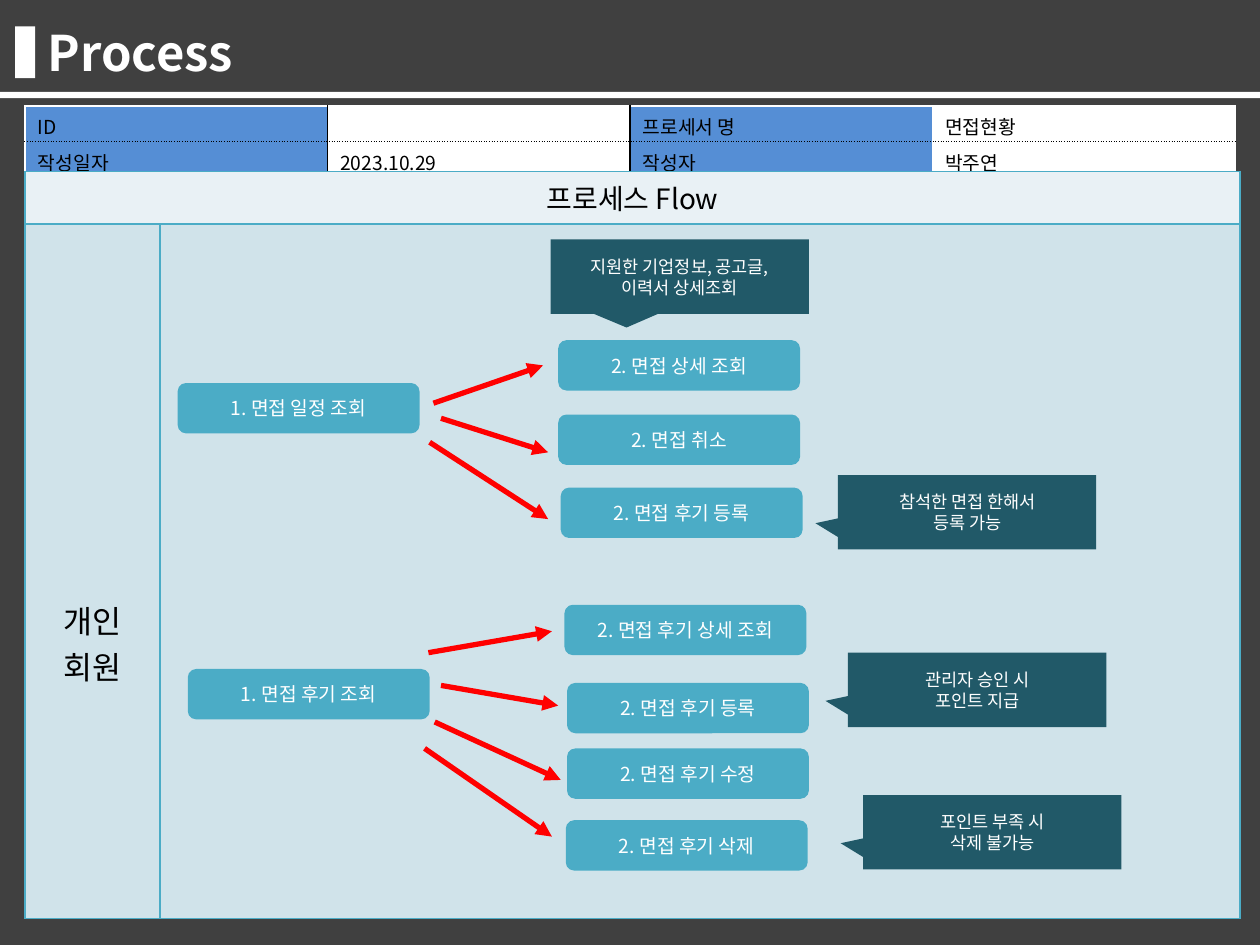
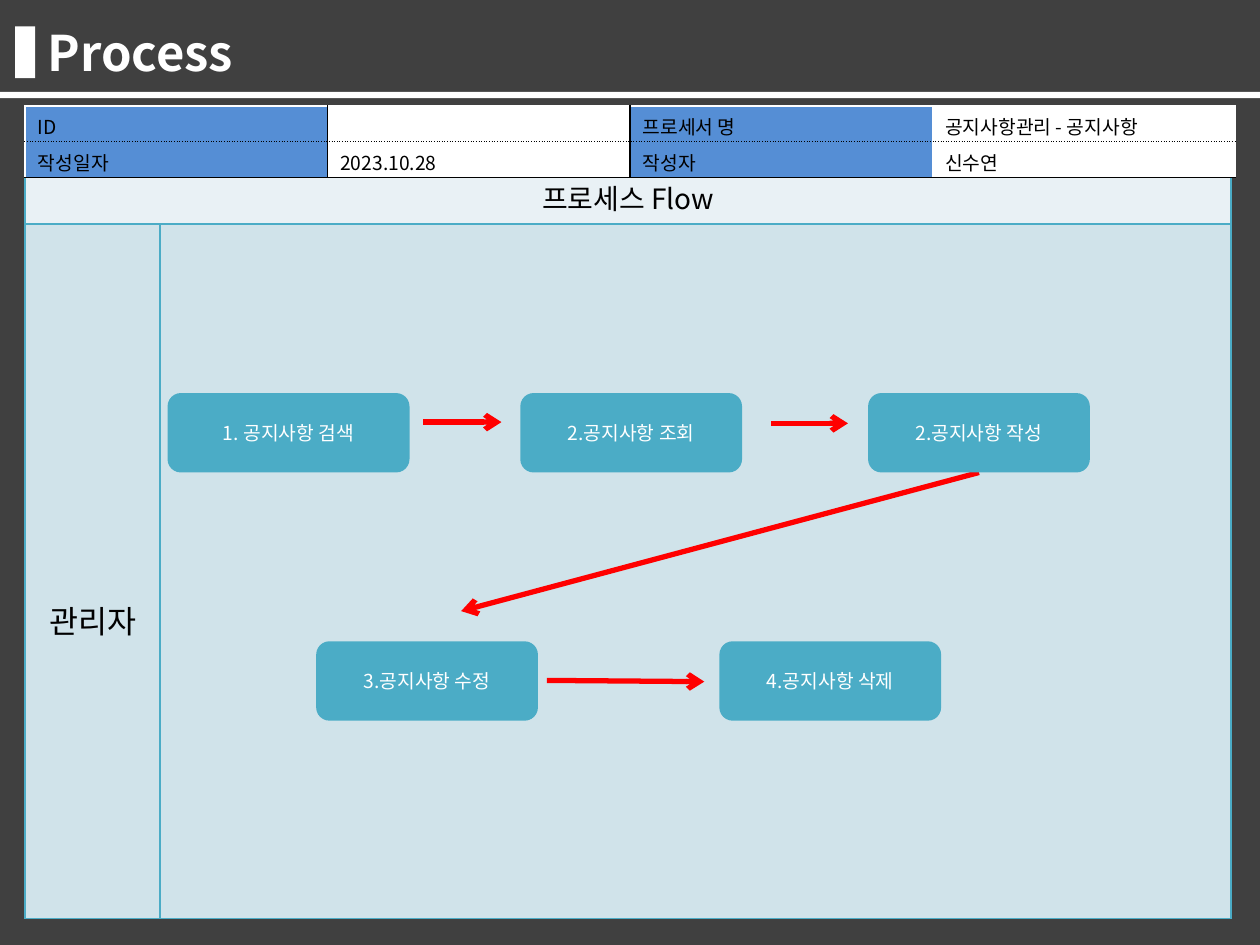
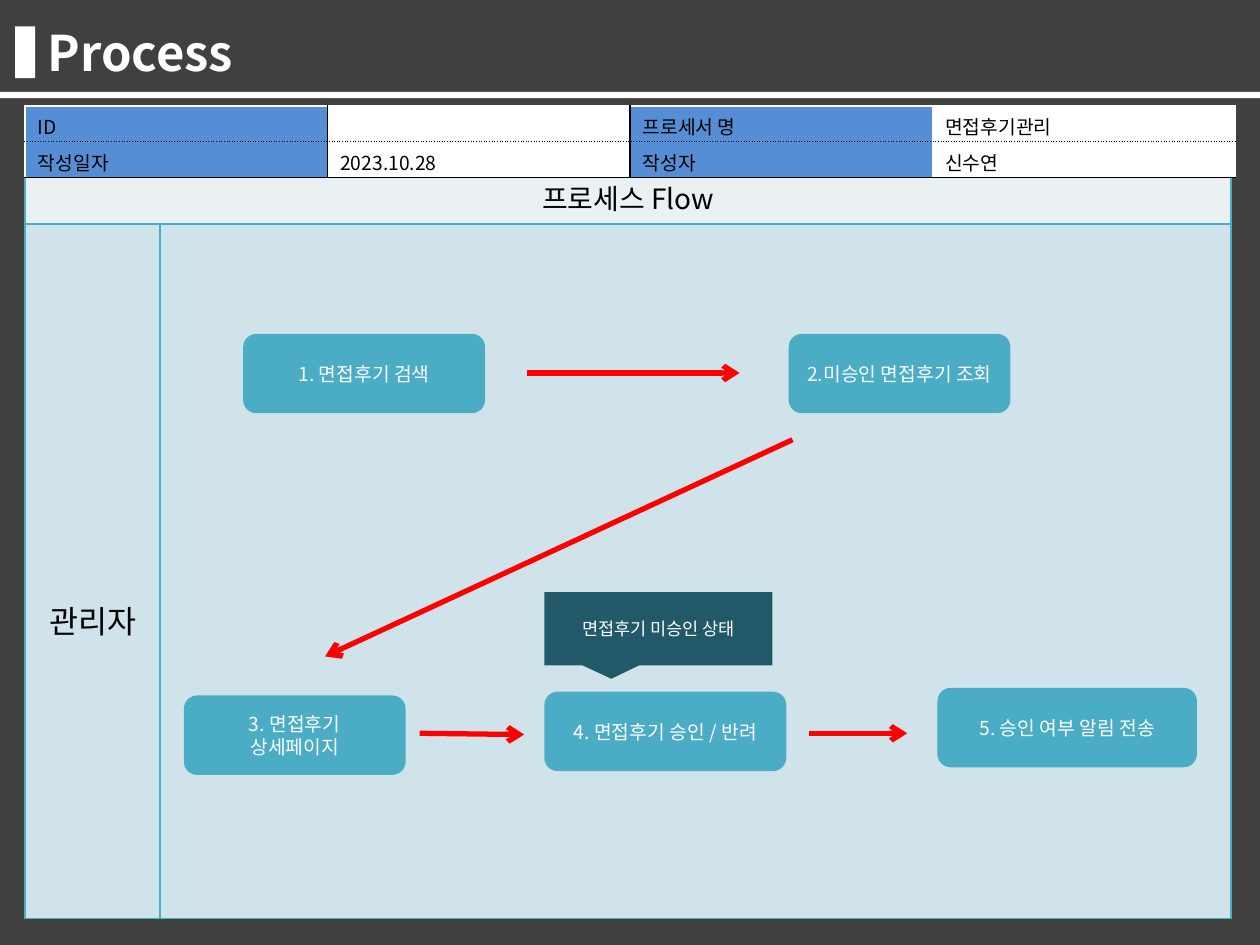
from lxml.etree import SubElement
from pptx import Presentation
from pptx.dml.color import RGBColor
from pptx.enum.shapes import MSO_CONNECTOR, MSO_SHAPE
from pptx.enum.text import MSO_ANCHOR, MSO_AUTO_SIZE, PP_ALIGN
from pptx.oxml.ns import qn
from pptx.util import Inches, Pt

FONT = "Noto Sans CJK KR"
BACKDROP, WHITE, BLACK, RED = "404040", "FFFFFF", "000000", "FF0000"
BLUE, TEAL, DEEP_TEAL = "558ED5", "4BACC6", "215968"
HEADER_TINT, BODY_TINT = "E9F1F5", "D0E3EA"
rgb = RGBColor.from_string

deck = Presentation()
deck.slide_width, deck.slide_height = Inches(10), Inches(7.5)
column, row = deck.slide_width / 100, deck.slide_height / 75


def place(left, top, width, height):
    return int(left * column), int(top * row), int(width * column), int(height * row)


def draw_grid(slide, left, top, widths, heights, texts, fills, column_edges, row_edges, sizes, pads, align):
    area = place(left, top, sum(widths), sum(heights))
    table = slide.shapes.add_table(len(heights), len(widths), *area).table
    table.first_row = table.horz_banding = False
    for table_column, width in zip(table.columns, widths):
        table_column.width = int(width * column)
    for table_row, height in zip(table.rows, heights):
        table_row.height = int(height * row)
    if texts[0][1] is None:
        table.cell(0, 0).merge(table.cell(0, 1))
    for r, line in enumerate(texts):
        for c, text in enumerate(line):
            cell = table.cell(r, c)
            if cell.is_spanned:
                continue
            cell.margin_top, cell.margin_bottom = int(pads[r] * row), 0
            cell.text_frame.text = text
            for paragraph in cell.text_frame.paragraphs:
                paragraph.alignment = align
                for run in paragraph.runs:
                    run.font.size = Pt(sizes[r])
                    run.font.color.rgb = rgb(BLACK)
            properties = cell.fill and table.cell(r, c).text_frame and table.rows[r].cells[c]._tc.get_or_add_tcPr()
            edges = {
                "a:lnL": (column_edges[c], "solid"),
                "a:lnR": (column_edges[c + 1], "solid"),
                "a:lnT": row_edges[r],
                "a:lnB": row_edges[r + 1],
            }
            for side, (color, dash) in edges.items():
                edge = SubElement(properties, qn(side), w=str(Pt(1)))
                SubElement(SubElement(edge, qn("a:solidFill")), qn("a:srgbClr"), val=color)
                SubElement(edge, qn("a:prstDash"), val=dash)
            cell.fill.solid()
            cell.fill.fore_color.rgb = rgb(fills[r][c])


STEP, NOTE_DOWN, NOTE_LEFT = "step", "note down", "note left"
NOTE_TIPS = {NOTE_DOWN: (-0.206, 0.685), NOTE_LEFT: (-0.587, 0.148)}

processes = [
    {
        "name": "면접현황", "date": "2023.10.29", "author": "박주연", "actor": "개인\n회원",
        "flow_width": 96.4, "flow_on_top": True, "arrowhead": "triangle",
        "steps": [
            (STEP, 14.1, 30.4, 19.2, 4, "1. 면접 일정 조회"),
            (STEP, 44.3, 27, 19.2, 4, "2. 면접 상세 조회"),
            (STEP, 44.3, 32.9, 19.2, 4, "2. 면접 취소"),
            (STEP, 44.5, 38.7, 19.2, 4, "2. 면접 후기 등록"),
            (STEP, 14.9, 53.1, 19.2, 4, "1. 면접 후기 조회"),
            (STEP, 44.8, 48, 19.2, 4, "2. 면접 후기 상세 조회"),
            (STEP, 45, 54.2, 19.2, 4, "2. 면접 후기 등록"),
            (STEP, 45, 59.4, 19.2, 4, "2. 면접 후기 수정"),
            (STEP, 44.9, 65.1, 19.2, 4, "2. 면접 후기 삭제"),
            (NOTE_DOWN, 43.7, 19, 20.5, 5.9, "지원한 기업정보, 공고글,\n이력서 상세조회"),
            (NOTE_LEFT, 66.5, 37.7, 20.5, 5.9, "참석한 면접 한해서\n등록 가능"),
            (NOTE_LEFT, 67.3, 51.8, 20.5, 5.9, "관리자 승인 시\n포인트 지급"),
            (NOTE_LEFT, 68.5, 63.1, 20.5, 5.9, "포인트 부족 시\n삭제 불가능"),
        ],
        "arrows": [
            (34.4, 32, 43.1, 29), (35, 33.2, 43.5, 35.9), (34.1, 35.1, 43.5, 41.2),
            (34, 51.8, 43.8, 50.1), (35, 54.4, 44.3, 56),
            (34.5, 57.3, 44.5, 61.9), (33.7, 59.4, 43.8, 66.4),
        ],
    },
    {
        "name": "공지사항관리 - 공지사항", "date": "2023.10.28", "author": "신수연", "actor": "관리자",
        "flow_width": 95.7, "flow_on_top": False, "arrowhead": "arrow",
        "steps": [
            (STEP, 13.3, 31.2, 19.2, 6.3, "1. 공지사항 검색"),
            (STEP, 41.3, 31.2, 17.6, 6.3, "2.공지사항 조회"),
            (STEP, 68.9, 31.2, 17.6, 6.3, "2.공지사항 작성"),
            (STEP, 25.1, 50.9, 17.6, 6.3, "3.공지사항 수정"),
            (STEP, 57.1, 50.9, 17.6, 6.3, "4.공지사항 삭제"),
        ],
        "arrows": [
            (33.6, 33.5, 39.8, 33.5), (61.2, 33.6, 67.3, 33.6),
            (77.7, 37.5, 36.6, 48.5), (43.4, 54, 55.9, 54.1),
        ],
    },
    {
        "name": "면접후기관리", "date": "2023.10.28", "author": "신수연", "actor": "관리자",
        "flow_width": 95.7, "flow_on_top": False, "arrowhead": "arrow",
        "steps": [
            (STEP, 19.3, 26.5, 19.2, 6.3, "1. 면접후기 검색"),
            (STEP, 62.6, 26.5, 17.6, 6.3, "2.미승인 면접후기 조회"),
            (STEP, 14.6, 55.2, 17.6, 6.3, "3. 면접후기\n상세페이지"),
            (STEP, 43.2, 54.9, 19.2, 6.3, "4. 면접후기 승인 / 반려"),
            (STEP, 74.4, 54.6, 20.6, 6.3, "5. 승인 여부 알림 전송"),
            (NOTE_DOWN, 43.2, 47, 18.1, 5.8, "면접후기 미승인 상태"),
        ],
        "arrows": [
            (41.8, 29.6, 58.7, 29.6), (62.9, 34.9, 25.8, 52.1),
            (33.3, 58.2, 41.6, 58.3), (64.2, 58.2, 72, 58.2),
        ],
    },
]

master_fill = deck.slide_master.background.fill
master_fill.solid()
master_fill.fore_color.rgb = rgb(BACKDROP)
title_only = deck.slide_layouts[5]
heading = title_only.placeholders[0]
heading.left, heading.top, heading.width, heading.height = place(2.8, 1.3, 89.8, 5.7)

for process in processes:
    slide = deck.slides.add_slide(title_only)
    title_frame = slide.shapes.title.text_frame
    title_frame.text = "Process"
    title_frame.auto_size = MSO_AUTO_SIZE.NONE
    title_frame.vertical_anchor = MSO_ANCHOR.MIDDLE
    title_frame.paragraphs[0].alignment = PP_ALIGN.LEFT
    title_font = title_frame.paragraphs[0].runs[0].font
    title_font.size, title_font.bold = Pt(28), True
    title_font.color.rgb = rgb(WHITE)

    for area in [(1.2, 2.1, 1.6, 4.1), (0, 7.3, 100, 0.5)]:
        band = slide.shapes.add_shape(MSO_SHAPE.RECTANGLE, *place(*area))
        band.shadow.inherit = False
        band.fill.solid()
        band.fill.fore_color.rgb = rgb(WHITE)
        band.line.fill.background()

    summary = (
        2, 8.4, [24] * 4, [2.85] * 2,
        [["ID", "", "프로세서 명", process["name"]], ["작성일자", process["date"], "작성자", process["author"]]],
        [[BLUE, WHITE] * 2] * 2,
        [WHITE, BLACK, BLACK, WHITE, WHITE],
        [(WHITE, "solid"), (BLACK, "sysDot"), (BLACK, "solid")],
        [11, 11], [0.5, 0.5], PP_ALIGN.LEFT,
    )
    flow = (
        2, 13.6, [10.7, process["flow_width"] - 10.7], [4.2, 55.1],
        [["프로세스 Flow", None], [process["actor"], ""]],
        [[HEADER_TINT] * 2, [BODY_TINT] * 2],
        [TEAL] * 3, [(TEAL, "solid")] * 3,
        [16, 18], [0.5, 29.6], PP_ALIGN.CENTER,
    )
    for grid in [summary, flow] if process["flow_on_top"] else [flow, summary]:
        draw_grid(slide, *grid)

    for ends in process["arrows"]:
        arrow = slide.shapes.add_connector(MSO_CONNECTOR.STRAIGHT, *place(*ends))
        arrow.line.color.rgb = rgb(RED)
        arrow.line.width = Pt(3)
        arrow_properties = arrow.element.spPr
        SubElement(arrow_properties.find(qn("a:ln")), qn("a:tailEnd"), type=process["arrowhead"])
        SubElement(arrow_properties, qn("a:effectLst"))

    for role, left, top, width, height, text in process["steps"]:
        outline = MSO_SHAPE.ROUNDED_RECTANGLE if role == STEP else MSO_SHAPE.RECTANGULAR_CALLOUT
        step = slide.shapes.add_shape(outline, *place(left, top, width, height))
        step.shadow.inherit = False
        step.fill.solid()
        step.fill.fore_color.rgb = rgb(TEAL if role == STEP else DEEP_TEAL)
        step.line.fill.background()
        for index, tip in enumerate(NOTE_TIPS.get(role, ())):
            step.adjustments[index] = tip
        step.text_frame.text = text
        step.text_frame.word_wrap = True
        step.text_frame.vertical_anchor = MSO_ANCHOR.MIDDLE
        for paragraph in step.text_frame.paragraphs:
            paragraph.alignment = PP_ALIGN.CENTER
            for run in paragraph.runs:
                run.font.size = Pt(11 if role == STEP else 10)
                run.font.color.rgb = rgb(WHITE)

    for run_properties in slide.element.iter(qn("a:rPr")):
        for script in ["a:latin", "a:ea"]:
            SubElement(run_properties, qn(script), typeface=FONT)
    for paragraph in slide.element.iter(qn("a:p")):
        if paragraph.find(qn("a:r")) is None:
            SubElement(paragraph, qn("a:endParaRPr"), sz="1100")

deck.save("out.pptx")
